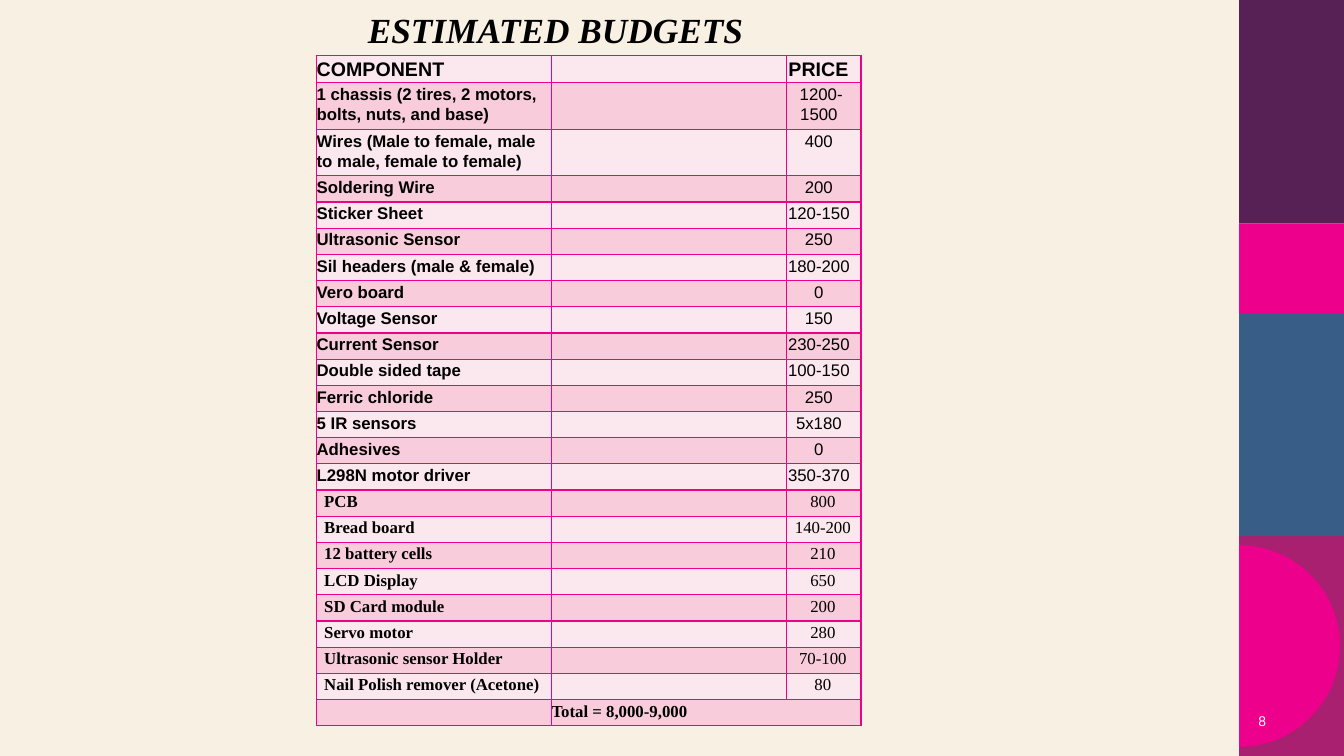
from math import cos, pi, sin

from lxml.etree import SubElement
from pptx import Presentation
from pptx.dml.color import RGBColor
from pptx.enum.shapes import MSO_SHAPE as Preset
from pptx.enum.text import MSO_ANCHOR as Anchor, MSO_AUTO_SIZE as AutoSize, PP_ALIGN as Align
from pptx.oxml.ns import qn
from pptx.util import Cm, Pt

COLOURS = {
    "cream": "F8F0E3", "plum": "AA2070", "blue": "385E88", "purple": "582156",
    "magenta": "EC008C", "light pink": "FBE7EE", "pink": "F8CCDA",
    "black": "000000", "white": "FFFFFF",
}
SANS, SERIF = "Arial", "Times New Roman"
PARTS = [
    ("1 chassis (2 tires, 2 motors, bolts, nuts, and base)", "1200-1500"),
    ("Wires (Male to female, male to male, female to female)", "400"),
    ("Soldering Wire", "200"),
    ("Sticker Sheet", "120-150"),
    ("Ultrasonic Sensor", "250"),
    ("Sil headers (male & female)", "180-200"),
    ("Vero board", "0"),
    ("Voltage Sensor", "150"),
    ("Current Sensor", "230-250"),
    ("Double sided tape", "100-150"),
    ("Ferric chloride", "250"),
    ("5 IR sensors", "5x180"),
    ("Adhesives", "0"),
    ("L298N motor driver", "350-370"),
]
EXTRA_PARTS = [
    ("PCB", "800"),
    ("Bread board", "140-200"),
    ("12 battery cells", "210"),
    ("LCD Display", "650"),
    ("SD Card module", "200"),
    ("Servo motor", "280"),
    ("Ultrasonic sensor Holder", "70-100"),
    ("Nail Polish remover (Acetone)", "80"),
]


def paint(fill, colour):
    """Give a fill one solid colour."""
    fill.solid()
    fill.fore_color.rgb = RGBColor.from_string(COLOURS[colour])


def style(paragraph, face, size, colour="black", bold=False, italic=False):
    """Set the font of a whole paragraph."""
    font = paragraph.font
    font.name, font.size, font.bold, font.italic = face, Pt(size), bold, italic
    font.color.rgb = RGBColor.from_string(COLOURS[colour])


def finish(shape, colour):
    """Paint a decoration, without outline or shadow."""
    paint(shape.fill, colour)
    shape.line.fill.background()
    shape.shadow.inherit = False


def add_side_band(slide, left, top, width, height):
    """Draw the coloured blocks and the half disc along the right edge."""
    block = 5.64
    blocks = [
        ("plum", height - block, block), ("blue", 7.87, block),
        ("purple", 0, block), ("magenta", block, 2.26),
    ]
    for colour, offset, depth in blocks:
        finish(slide.shapes.add_shape(
            Preset.RECTANGLE, Cm(left), Cm(top + offset), Cm(width), Cm(depth)), colour)

    radius, steps = 2.54, 60
    centre = top + height - 2.77
    arc = [(Cm(left + radius * sin(pi * step / steps)),
            Cm(centre - radius * cos(pi * step / steps))) for step in range(steps + 1)]
    outline = slide.shapes.build_freeform(*arc[0])
    outline.add_line_segments(arc[1:], close=True)
    finish(outline.convert_to_shape(), "magenta")


def add_title(slide, left, top, width, height):
    """Place the slide title."""
    title = slide.shapes.title
    title.left, title.top, title.width, title.height = map(Cm, (left, top, width, height))
    frame = title.text_frame
    frame.auto_size, frame.vertical_anchor = AutoSize.NONE, Anchor.MIDDLE
    frame.margin_left = Cm(7.14)
    frame.margin_top = frame.margin_bottom = 0
    heading = frame.paragraphs[0]
    heading.text = "ESTIMATED BUDGETS"
    heading.alignment, heading.line_spacing = Align.LEFT, 0.9
    style(heading, SERIF, 25.2, bold=True, italic=True)


def add_page_number(slide, left, top, width, height):
    """Place the page number on the side band."""
    frame = slide.shapes.add_textbox(*map(Cm, (left, top, width, height))).text_frame
    frame.word_wrap, frame.vertical_anchor = True, Anchor.MIDDLE
    number = frame.paragraphs[0]
    number.text, number.alignment = "8", Align.RIGHT
    style(number, SANS, 10, "white")


def fill_cell(cell, text, colour, face=SANS, size=12, bold=True, align=Align.LEFT, indent=0):
    """Write, border and paint one table cell."""
    cell.margin_left = cell.margin_bottom = 0
    cell.margin_top, cell.margin_right = Cm(0.03), Cm(0.13)
    properties = cell._tc.get_or_add_tcPr()
    for side in ("lnL", "lnR", "lnT", "lnB"):
        border = SubElement(properties, qn(f"a:{side}"), w=str(Pt(1)))
        solid = SubElement(border, qn("a:solidFill"))
        SubElement(solid, qn("a:srgbClr"), val=COLOURS["magenta"])
    paint(cell.fill, colour)

    entry = cell.text_frame.paragraphs[0]
    if text:
        entry.text = text
    else:
        SubElement(entry._p, qn("a:endParaRPr"), sz=str(size * 100))
    entry.alignment, entry.line_spacing, entry.space_after = align, 1.07, Pt(8)
    if indent:
        entry._p.get_or_add_pPr().set("marL", str(Cm(indent)))
    style(entry, face, size, bold=bold)


def add_budget(slide, left, top, width, height):
    """Build the table of components and prices, with the total below."""
    entries = [("COMPONENT", "PRICE"), *PARTS, *EXTRA_PARTS]
    total_row = len(entries)
    budget = slide.shapes.add_table(
        total_row + 1, 3, Cm(left), Cm(top), Cm(width), Cm(height)).table
    budget.first_row = budget.horz_banding = False
    price_width = 1.88
    wide = (width - price_width) / 2
    for column, size in zip(budget.columns, (wide, wide, price_width)):
        column.width = Cm(size)
    first_heights = [0.69, 1.17, 1.17]
    line_height = (height - sum(first_heights)) / (total_row + 1 - len(first_heights))
    for index, row in enumerate(budget.rows):
        row.height = Cm(first_heights[index] if index < len(first_heights) else line_height)

    for index, (component, price) in enumerate(entries):
        header, extra = index == 0, index > len(PARTS)
        look = {
            "colour": "pink" if index % 2 else "light pink",
            "face": SERIF if extra else SANS,
            "size": 14 if header else 12,
        }
        indent = 0.19 if extra else 0
        fill_cell(budget.cell(index, 0), component, indent=indent, **look)
        fill_cell(budget.cell(index, 1), "", **look)
        fill_cell(budget.cell(index, 2), f"{price} ", bold=header,
                  align=Align.CENTER, indent=indent, **look)

    for column, text in enumerate(("", "Total = 8,000-9,000", "")):
        fill_cell(budget.cell(total_row, column), text, "pink", SERIF)
    budget.cell(total_row, 1).merge(budget.cell(total_row, 2))


def main():
    """Build the budget slide and save it."""
    deck = Presentation()
    deck.slide_width, deck.slide_height = Cm(33.87), Cm(19.05)
    slide = deck.slides.add_slide(deck.slide_layouts[5])
    paint(slide.background.fill, "cream")
    add_side_band(slide, 31.23, 0, 2.82, 19.05)
    add_title(slide, 2.13, 0.23, 26.09, 1.17)
    add_page_number(slide, 30.89, 17.65, 1.27, 1.02)
    add_budget(slide, 7.98, 1.4, 13.72, 16.89)
    deck.save("out.pptx")


if __name__ == "__main__":
    main()
